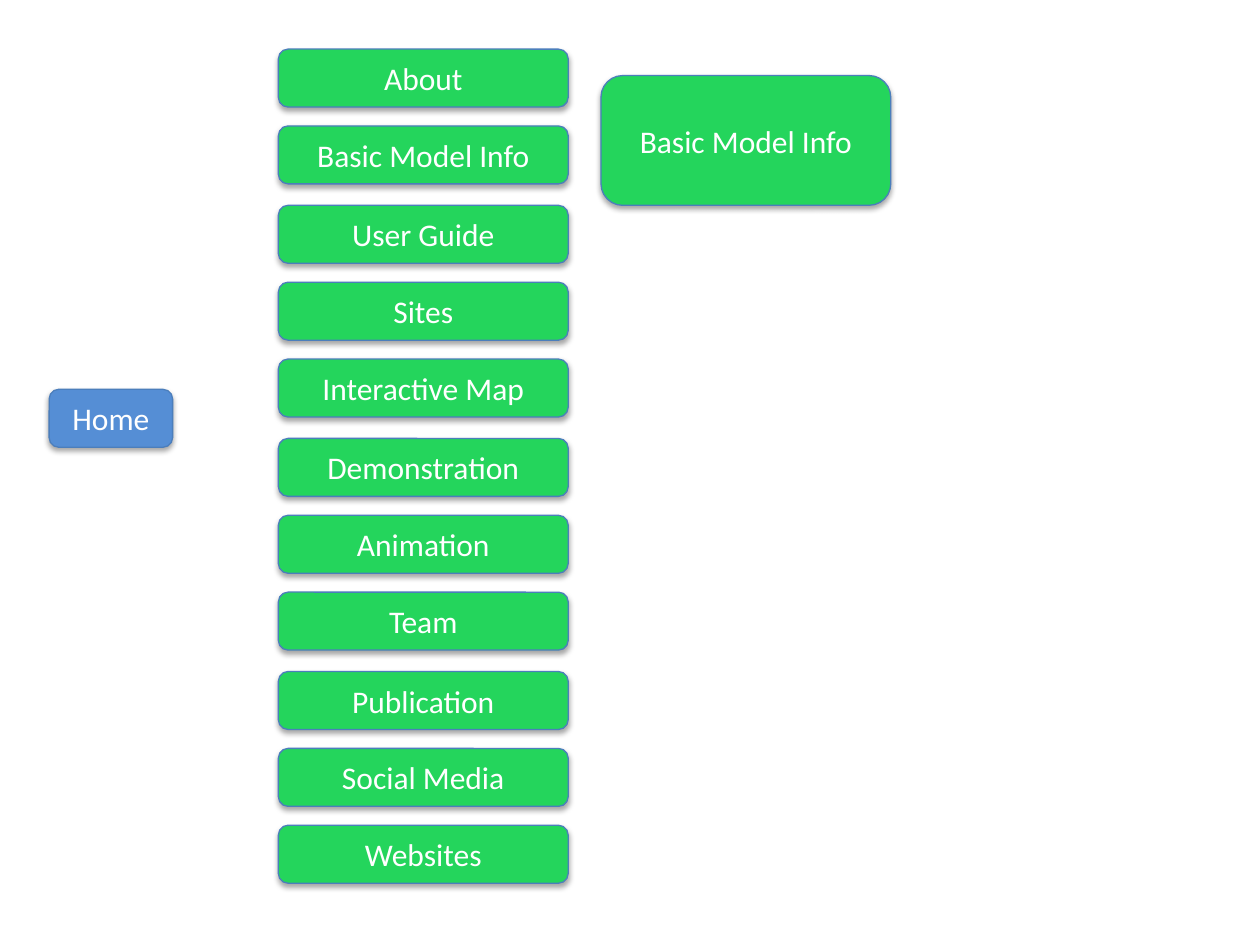
"""Build a site map slide: a home box, a column of pages and one page detail."""
from lxml import etree
from pptx import Presentation
from pptx import util as u
from pptx.dml.color import RGBColor
from pptx.enum import shapes, text
from pptx.oxml import ns

BLUE = RGBColor(0x55, 0x8E, 0xD5)
GREEN = RGBColor(0x24, 0xD5, 0x5C)
EDGE = RGBColor(0x4B, 0x7E, 0xBC)
WHITE = RGBColor(0xFF, 0xFF, 0xFF)

PAGES = ["About", "Basic Model Info", "User Guide", "Sites", "Interactive Map",
         "Demonstration", "Animation", "Team", "Publication", "Social Media",
         "Websites"]
LEFT, WIDE, HIGH = 2.21, 2.3, 0.46
START, GROUP, STEP = -0.22, 1.85, 0.61

deck = Presentation()
deck.slide_width, deck.slide_height = u.Inches(10), u.Inches(7.5)
slide = deck.slides.add_slide(deck.slide_layouts[6])


def add_shade(box):
    """Give the box a soft shadow below it."""
    box.shadow.inherit = False
    effects = box._element.spPr.find(ns.qn("a:effectLst"))
    shade = etree.SubElement(effects, ns.qn("a:outerShdw"), blurRad="40000",
                             dist="23000", dir="5400000", rotWithShape="0")
    color = etree.SubElement(shade, ns.qn("a:srgbClr"), val="000000")
    etree.SubElement(color, ns.qn("a:alpha"), val="35000")


def add_box(label, left, top, width, height, fill):
    """Add a rounded box with a centred label."""
    box = slide.shapes.add_shape(shapes.MSO_SHAPE.ROUNDED_RECTANGLE,
                                 *map(u.Inches, (left, top, width, height)))
    box.fill.solid()
    box.fill.fore_color.rgb = fill
    box.line.color.rgb = EDGE
    box.line.width = u.Pt(0.75)
    add_shade(box)
    frame = box.text_frame
    frame.word_wrap = True
    frame.vertical_anchor = text.MSO_ANCHOR.MIDDLE
    para = frame.paragraphs[0]
    para.alignment = text.PP_ALIGN.CENTER
    run = para.add_run()
    run.text = label
    run.font.name = "Calibri"
    run.font.size = u.Pt(18)
    run.font.color.rgb = WHITE


add_box("Home", 0.39, 3.09, 0.98, HIGH, BLUE)
for index, page in enumerate(PAGES, 1):
    group, step = divmod(index, 3)
    add_box(page, LEFT, START + GROUP * group + STEP * step, WIDE, HIGH, GREEN)
add_box(PAGES[1], 4.77, 0.6, WIDE, 1.03, GREEN)

deck.save("out.pptx")
